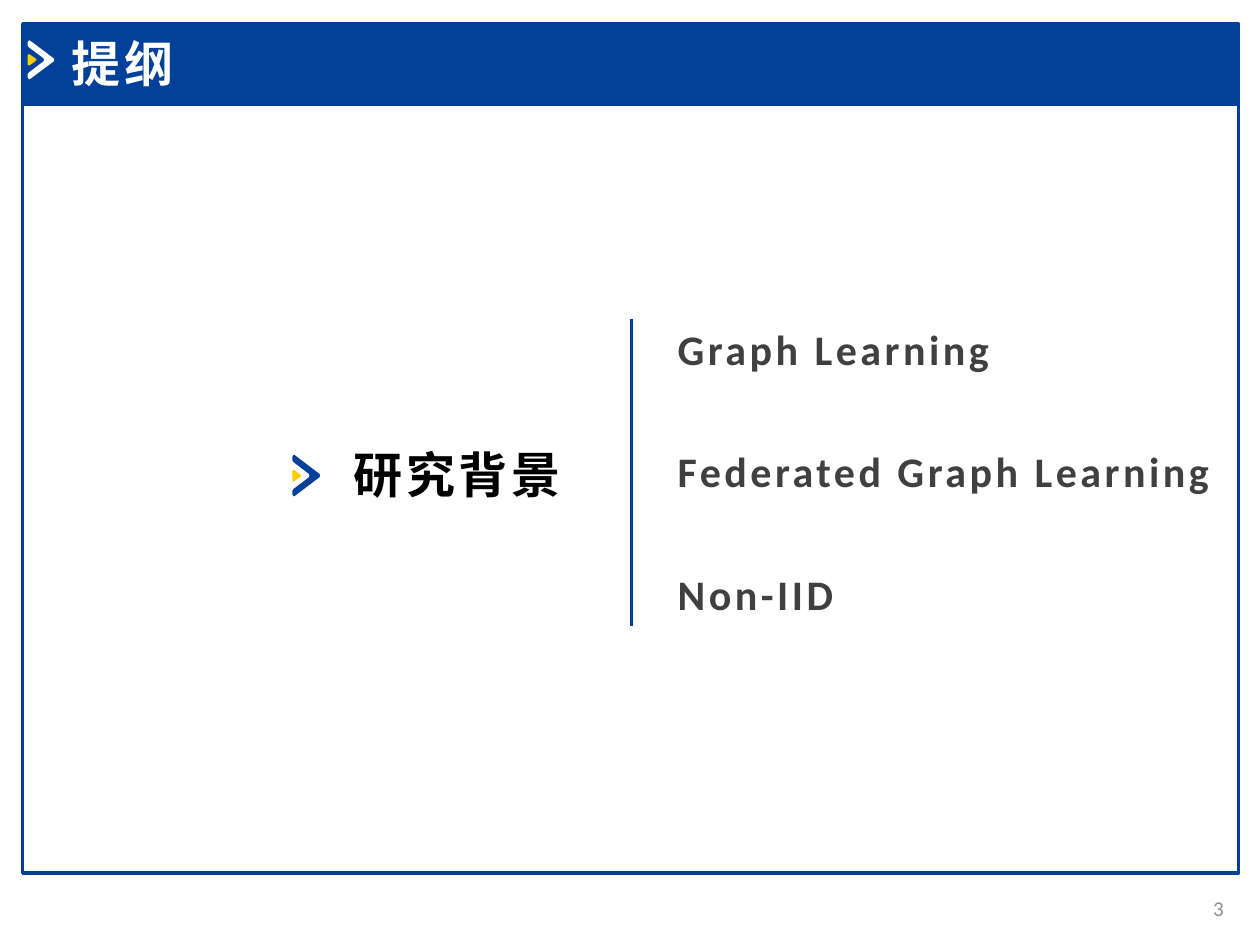
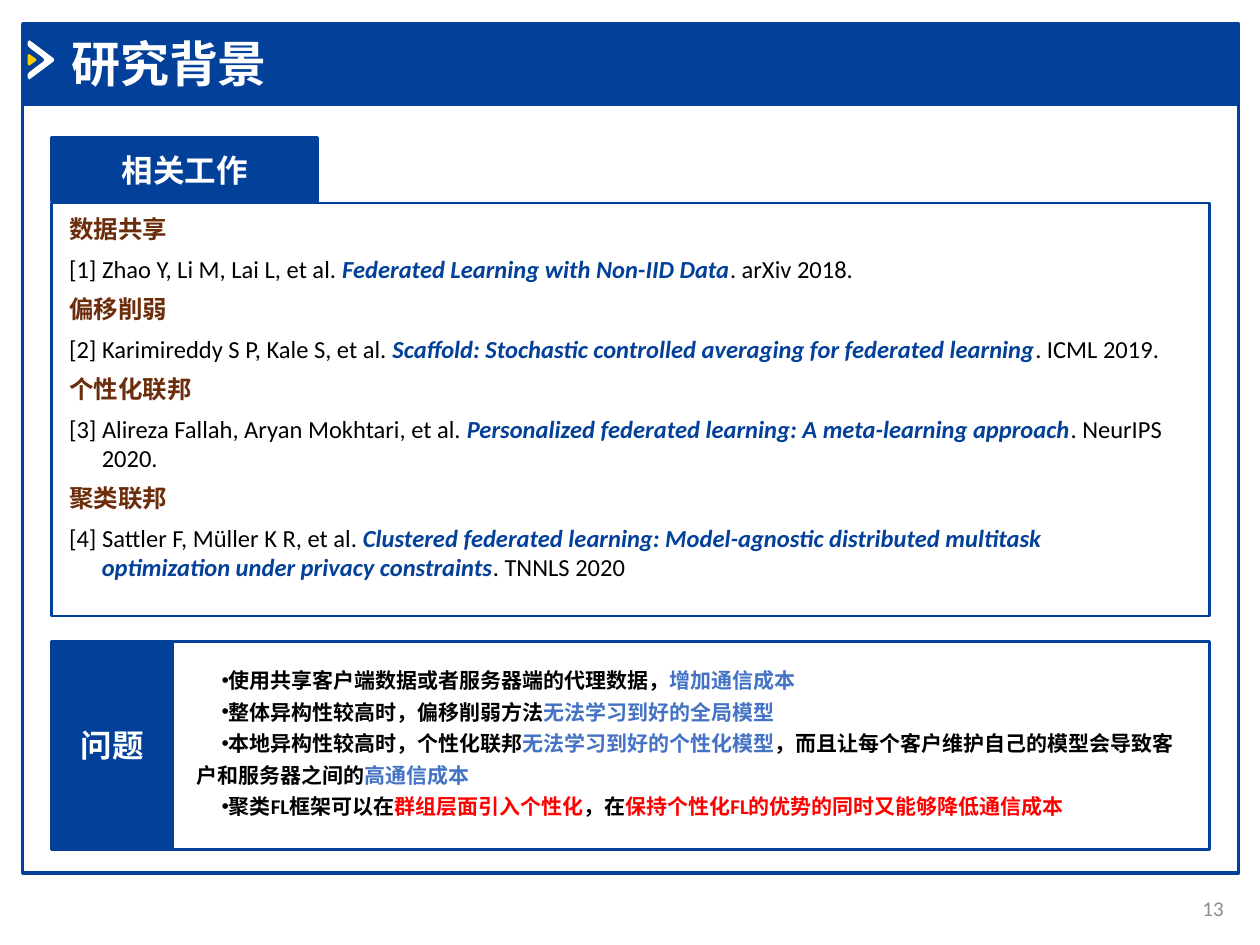
from dataclasses import dataclass
from typing import NamedTuple, Optional

from lxml import etree
from pptx import Presentation
from pptx.dml.color import RGBColor
from pptx.enum.shapes import MSO_CONNECTOR, MSO_SHAPE
from pptx.enum.text import MSO_ANCHOR, PP_ALIGN
from pptx.oxml.ns import qn
from pptx.util import Inches, Pt

STRAIGHT = MSO_CONNECTOR.STRAIGHT
RECTANGLE = MSO_SHAPE.RECTANGLE
TOP, MIDDLE = MSO_ANCHOR.TOP, MSO_ANCHOR.MIDDLE
LEFT, CENTER, RIGHT = PP_ALIGN.LEFT, PP_ALIGN.CENTER, PP_ALIGN.RIGHT


@dataclass(frozen=True)
class Theme:
    navy: str = "02409A"
    yellow: str = "FFCC00"
    white: str = "FFFFFF"
    black: str = "000000"
    dark_gray: str = "404040"
    page_gray: str = "8C8C8C"
    brown: str = "6B2D0B"
    blue: str = "4472C4"
    red: str = "FF0000"
    latin: str = "Calibri"
    title_latin: str = "Arial"
    chinese: str = "Noto Sans CJK SC"
    title_size: float = 28
    topic_size: float = 24
    label_size: float = 18
    reference_size: float = 14
    small_size: float = 12
    frame_line: float = 2
    panel_line: float = 1.5


THEME = Theme()


class Box(NamedTuple):
    left: float
    top: float
    width: float
    height: float

    def lengths(self) -> list:
        return [Inches(value) for value in self]


@dataclass(frozen=True)
class Style:
    size: float
    color: str
    font: str = THEME.latin
    bold: bool = True
    spacing: float = 0
    align: PP_ALIGN = LEFT
    anchor: MSO_ANCHOR = TOP


class Span(NamedTuple):
    text: str
    color: str
    bold: bool = True
    italic: bool = False


class Reference(NamedTuple):
    category: str
    authors: str
    title: str
    venue: str


TITLE = Style(THEME.title_size, THEME.white, spacing=2)
TIGHT_TITLE = Style(THEME.title_size, THEME.white, THEME.title_latin, spacing=-0.1)
SECTION = Style(THEME.title_size, THEME.black, THEME.chinese, spacing=2)
TOPIC = Style(THEME.topic_size, THEME.dark_gray, spacing=2)
LABEL = Style(THEME.label_size, THEME.white, align=CENTER, anchor=MIDDLE)
PAGE = Style(THEME.small_size, THEME.page_gray, bold=False, align=RIGHT, anchor=MIDDLE)

CHEVRON = [(0, 0.05), (0.05, 0), (0.09, 0.01), (0.98, 0.46), (1, 0.5), (0.98, 0.54),
           (0.09, 0.99), (0.05, 1), (0, 0.95), (0, 0.87), (0.05, 0.82), (0.6, 0.54),
           (0.62, 0.5), (0.6, 0.46), (0.05, 0.18), (0, 0.13)]
DART = [(0, 0.12), (0.1, 0), (0.25, 0.03), (0.95, 0.42), (1, 0.5), (0.95, 0.58),
        (0.25, 0.97), (0.1, 1), (0, 0.88)]

TOPICS = ["Graph Learning", "Federated Graph Learning", "Non-IID"]

REFERENCES = [
    Reference("数据共享", "[1] Zhao Y, Li M, Lai L, et al. ",
              "Federated Learning with Non-IID Data", ". arXiv 2018."),
    Reference("偏移削弱", "[2] Karimireddy S P, Kale S, et al. ",
              "Scaffold: Stochastic controlled averaging for federated learning",
              ". ICML 2019."),
    Reference("个性化联邦", "[3] Alireza Fallah, Aryan Mokhtari, et al. ",
              "Personalized federated learning: A meta-learning approach",
              ". NeurIPS 2020."),
    Reference("聚类联邦", "[4] Sattler F, Müller K R, et al. ",
              "Clustered federated learning: Model-agnostic distributed multitask "
              "optimization under privacy constraints", ". TNNLS 2020"),
]

PROBLEMS = [
    [Span("使用共享客户端数据或者服务器端的代理数据，", THEME.black),
     Span("增加通信成本", THEME.blue)],
    [Span("整体异构性较高时，偏移削弱方法", THEME.black),
     Span("无法学习到好的全局模型", THEME.blue)],
    [Span("本地异构性较高时，个性化联邦", THEME.black),
     Span("无法学习到好的个性化模型", THEME.blue),
     Span("，而且让每个客户维护自己的模型会导致客户和服务器之间的", THEME.black),
     Span("高通信成本", THEME.blue)],
    [Span("聚类FL框架可以在", THEME.black),
     Span("群组层面引入个性化", THEME.red),
     Span("，在", THEME.black),
     Span("保持个性化FL的优势的同时又能够降低通信成本", THEME.red)],
]


def rgb(color: str) -> RGBColor:
    return RGBColor.from_string(color)


def add_run(paragraph, text: str, spacing: float = 0):
    run = paragraph.add_run()
    run.text = text
    properties = run._r.get_or_add_rPr()
    if spacing:
        properties.set("spc", str(round(spacing * 100)))
    etree.SubElement(properties, qn("a:ea")).set("typeface", THEME.chinese)
    return run


def add_spans(paragraph, spans: list, size: float) -> None:
    paragraph.font.size = Pt(size)
    paragraph.font.name = THEME.latin
    for span in spans:
        run = add_run(paragraph, span.text)
        run.font.color.rgb = rgb(span.color)
        run.font.bold = span.bold
        run.font.italic = span.italic


def write_line(shape, text: str, style: Style) -> None:
    frame = shape.text_frame
    frame.word_wrap = True
    frame.vertical_anchor = style.anchor
    paragraph = frame.paragraphs[0]
    paragraph.alignment = style.align
    paragraph.font.size = Pt(style.size)
    paragraph.font.name = style.font
    paragraph.font.bold = style.bold
    paragraph.font.color.rgb = rgb(style.color)
    add_run(paragraph, text, style.spacing)


def add_text(slide, box: Box, text: str, style: Style) -> None:
    write_line(slide.shapes.add_textbox(*box.lengths()), text, style)


def add_panel(slide, box: Box, line_width: float, fill: Optional[str] = None,
              label: str = "") -> None:
    shape = slide.shapes.add_shape(RECTANGLE, *box.lengths())
    shape.shadow.inherit = False
    if fill:
        shape.fill.solid()
        shape.fill.fore_color.rgb = rgb(fill)
    else:
        shape.fill.background()
    shape.line.color.rgb = rgb(THEME.navy)
    shape.line.width = Pt(line_width)
    if label:
        write_line(shape, label, LABEL)


def add_outline(slide, box: Box, outline: list, color: str) -> None:
    points = [(Inches(box.left + x * box.width), Inches(box.top + y * box.height))
              for x, y in outline]
    builder = slide.shapes.build_freeform(*points[0])
    builder.add_line_segments(points[1:], close=True)
    shape = builder.convert_to_shape()
    shape.shadow.inherit = False
    shape.fill.solid()
    shape.fill.fore_color.rgb = rgb(color)
    shape.line.fill.background()


def add_marker(slide, box: Box, color: str) -> None:
    dart_height = 0.09
    dart_top = box.top + (box.height - dart_height) / 2
    add_outline(slide, box, CHEVRON, color)
    add_outline(slide, Box(box.left, dart_top, 0.07, dart_height), DART, THEME.yellow)


def add_framed_slide(presentation, title: str, style: Style, page: str):
    slide = presentation.slides.add_slide(presentation.slide_layouts[6])
    add_panel(slide, Box(0.18, 0.83, 9.65, 6.1), THEME.frame_line)
    add_panel(slide, Box(0.18, 0.19, 9.65, 0.64), THEME.frame_line, THEME.navy)
    add_marker(slide, Box(0.22, 0.32, 0.21, 0.31), THEME.white)
    add_text(slide, Box(0.47, 0.22, 4.98, 0.57), title, style)
    add_text(slide, Box(9.22, 7.01, 0.59, 0.4), page, PAGE)
    return slide


def add_paragraphs(slide, box: Box, count: int) -> list:
    frame = slide.shapes.add_textbox(*box.lengths()).text_frame
    frame.word_wrap = True
    return [frame.paragraphs[0]] + [frame.add_paragraph() for _ in range(count - 1)]


def set_indent(paragraph, margin: float, indent: float):
    properties = paragraph._p.get_or_add_pPr()
    properties.set("marL", str(Inches(margin)))
    properties.set("indent", str(Inches(indent)))
    return properties


def add_references(slide, box: Box) -> None:
    paragraphs = add_paragraphs(slide, box, 2 * len(REFERENCES))
    for paragraph in paragraphs:
        set_indent(paragraph, 0.26, -0.26)
    for index, reference in enumerate(REFERENCES):
        heading, citation = paragraphs[2 * index:2 * index + 2]
        if index:
            heading.space_before = Pt(6)
        heading.space_after = Pt(6)
        heading.font.size = Pt(THEME.reference_size)
        heading.font.name = THEME.chinese
        heading.font.bold = True
        heading.font.color.rgb = rgb(THEME.brown)
        add_run(heading, reference.category)
        add_spans(citation, [
            Span(reference.authors, THEME.black, bold=False),
            Span(reference.title, THEME.navy, italic=True),
            Span(reference.venue, THEME.black, bold=False),
        ], THEME.reference_size)


def add_problems(slide, box: Box) -> None:
    for paragraph, spans in zip(add_paragraphs(slide, box, len(PROBLEMS)), PROBLEMS):
        properties = set_indent(paragraph, 0, 0.2)
        paragraph.line_spacing = 1.25
        etree.SubElement(properties, qn("a:buFont")).set("typeface", "Arial")
        etree.SubElement(properties, qn("a:buChar")).set("char", "•")
        add_spans(paragraph, spans, THEME.small_size)


def build_outline(presentation) -> None:
    slide = add_framed_slide(presentation, "提纲", TITLE, "3")
    add_text(slide, Box(2.71, 3.48, 2.15, 0.57), "研究背景", SECTION)
    add_marker(slide, Box(2.32, 3.61, 0.22, 0.33), THEME.navy)
    divider = slide.shapes.add_connector(
        STRAIGHT, Inches(5.01), Inches(2.53), Inches(5.01), Inches(4.97))
    divider.line.color.rgb = rgb(THEME.navy)
    divider.line.width = Pt(THEME.panel_line)
    etree.SubElement(divider._element.spPr, qn("a:effectLst"))
    for index, topic in enumerate(TOPICS):
        add_text(slide, Box(5.28, 2.52 + 0.97 * index, 4.53, 0.5), topic, TOPIC)


def build_background(presentation) -> None:
    slide = add_framed_slide(presentation, "研究背景", TIGHT_TITLE, "13")
    add_panel(slide, Box(0.41, 1.61, 9.19, 3.28), THEME.panel_line)
    add_panel(slide, Box(0.41, 1.09, 2.11, 0.51), THEME.panel_line, THEME.navy, "相关工作")
    add_references(slide, Box(0.45, 1.65, 8.93, 3.17))
    add_panel(slide, Box(0.41, 5.09, 0.96, 1.65), THEME.panel_line, THEME.navy, "问题")
    add_panel(slide, Box(1.37, 5.09, 8.23, 1.65), THEME.panel_line)
    add_problems(slide, Box(1.46, 5.2, 7.99, 1.43))


def main() -> None:
    presentation = Presentation()
    presentation.slide_width = Inches(10)
    presentation.slide_height = Inches(7.5)
    build_outline(presentation)
    build_background(presentation)
    presentation.save("out.pptx")


if __name__ == "__main__":
    main()
